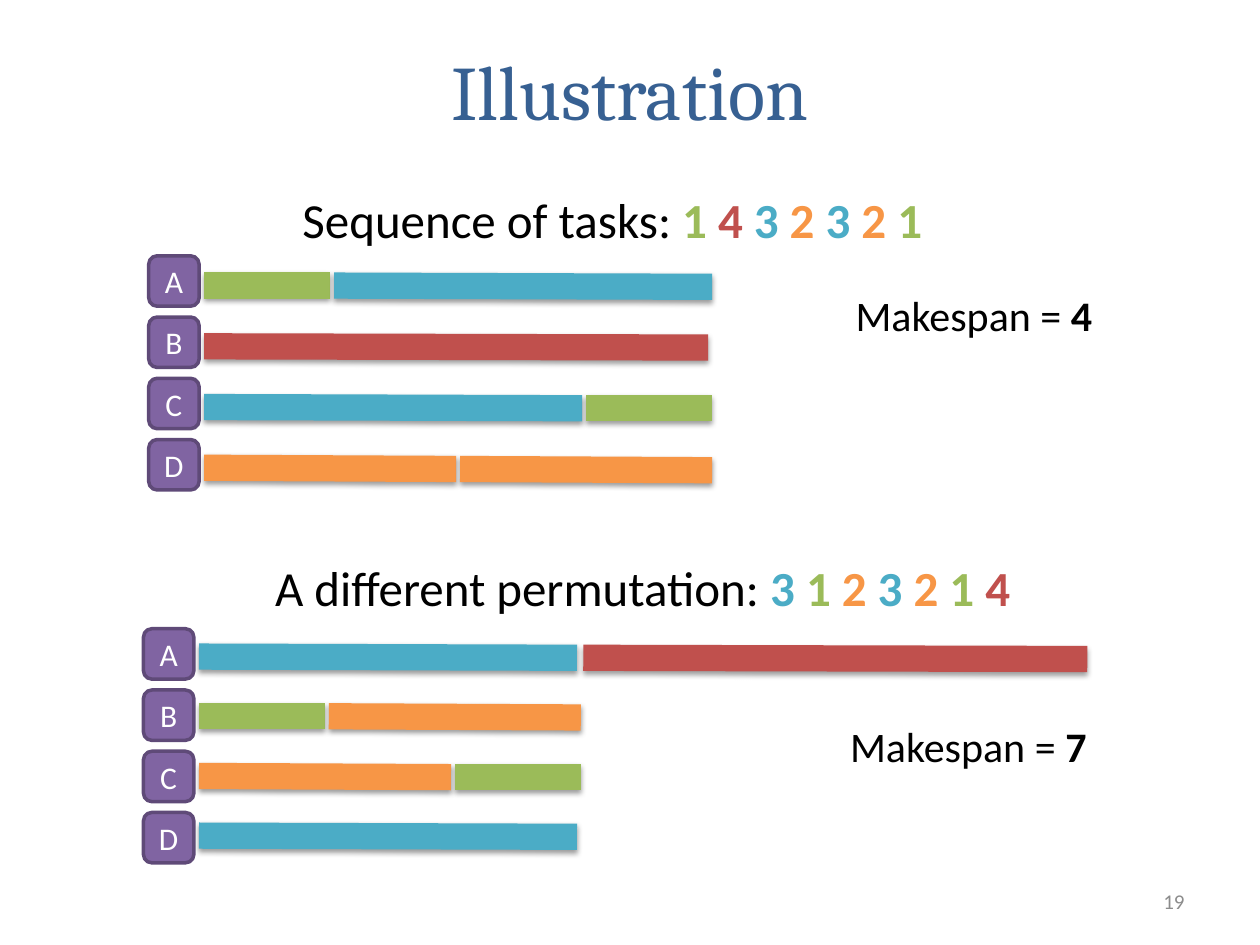
from dataclasses import dataclass

from lxml import etree
from pptx import Presentation
from pptx.dml.color import RGBColor
from pptx.enum import shapes, text
from pptx.oxml import ns
from pptx.util import Pt


@dataclass(frozen=True)
class Theme:
    heading_font: str = "Cambria"
    body_font: str = "Calibri"
    title_size: float = 44
    sequence_size: float = 28
    makespan_size: float = 24
    label_size: float = 18
    number_size: float = 12
    title: str = "376092"
    ink: str = "000000"
    muted: str = "8C8C8C"
    label_fill: str = "8064A2"
    label_line: str = "5F4A78"
    label_ink: str = "FFFFFF"
    tasks: tuple[str, ...] = ("9BBB59", "F79646", "4BACC6", "C0504D")

    def task(self, digit: str) -> str:
        return self.tasks[int(digit) - 1]


@dataclass(frozen=True)
class Box:
    left: float
    top: float
    width: float
    height: float


@dataclass(frozen=True)
class Run:
    text: str
    color: str
    bold: bool = False


@dataclass(frozen=True)
class Lane:
    machine: str
    tasks: str
    gap: float = 2.2


@dataclass(frozen=True)
class Schedule:
    caption: str
    sequence: str
    caption_box: Box
    caption_anchor: text.MSO_ANCHOR
    makespan: int
    makespan_box: Box
    left: float
    top: float
    bar_top: float
    bar_pitch: float
    lanes: tuple[Lane, ...]


THEME = Theme()
UNIT = 72  # length of one unit of task time
BAR_WEIGHT = 15
BAR_DROP = 0.7  # slight downward slope of the longer bars
LABEL_SIZE = 28.8
LABEL_PITCH = 35
LABEL_TO_BAR = 31.7

SCHEDULES = (
    Schedule("Sequence of tasks: ", "1432321",
             Box(48.2, 103, 603.4, 42.5), text.MSO_ANCHOR.BOTTOM,
             4, Box(443.5, 164.2, 226, 33.8),
             left=85, top=146.2, bar_top=163.2, bar_pitch=34.7,
             lanes=(Lane("A", "13"), Lane("B", "4"),
                    Lane("C", "31"), Lane("D", "22"))),
    Schedule("A different permutation: ", "3123214",
             Box(48.2, 313.9, 638, 42.5), text.MSO_ANCHOR.MIDDLE,
             7, Box(443.5, 410.4, 219.6, 33.8),
             left=82, top=359.3, bar_top=375.2, bar_pitch=34.1,
             lanes=(Lane("A", "34", gap=3.6), Lane("B", "12"),
                    Lane("C", "21"), Lane("D", "3"))),
)


def rgb(value: str) -> RGBColor:
    return RGBColor.from_string(value)


def write(sp, runs: list[Run], size: float, align=text.PP_ALIGN.CENTER,
          anchor=text.MSO_ANCHOR.MIDDLE, font: str = THEME.body_font) -> None:
    tf = sp.text_frame
    tf.word_wrap = True
    tf.vertical_anchor = anchor
    p = tf.paragraphs[0]
    p.alignment = align
    p.font.name = font
    p.font.size = Pt(size)
    for run in runs:
        r = p.add_run()
        r.text = run.text
        r.font.bold = run.bold
        r.font.color.rgb = rgb(run.color)


def add_text(s, box: Box, runs: list[Run], size: float, **style) -> None:
    sp = s.shapes.add_textbox(Pt(box.left), Pt(box.top),
                              Pt(box.width), Pt(box.height))
    write(sp, runs, size, **style)


def add_shadow(sp) -> None:
    effects = etree.SubElement(sp._element.spPr, ns.qn("a:effectLst"))
    shadow = etree.SubElement(
        effects, ns.qn("a:outerShdw"), blurRad=str(Pt(3.1)),
        dist=str(Pt(1.6)), dir="5400000", rotWithShape="0")
    color = etree.SubElement(shadow, ns.qn("a:srgbClr"), val=THEME.ink)
    etree.SubElement(color, ns.qn("a:alpha"), val="38000")


def add_label(s, left: float, top: float, machine: str) -> None:
    sp = s.shapes.add_shape(shapes.MSO_SHAPE.ROUNDED_RECTANGLE, Pt(left),
                            Pt(top), Pt(LABEL_SIZE), Pt(LABEL_SIZE))
    sp.shadow.inherit = False
    sp.fill.solid()
    sp.fill.fore_color.rgb = rgb(THEME.label_fill)
    sp.line.color.rgb = rgb(THEME.label_line)
    sp.line.width = Pt(2)
    tf = sp.text_frame
    tf.margin_left = tf.margin_right = tf.margin_top = tf.margin_bottom = 0
    write(sp, [Run(machine, THEME.label_ink)], THEME.label_size)


def add_lane(s, lane: Lane, left: float, top: float) -> None:
    """Draw the lane's tasks end to end, each as long as its number."""
    x, y = left, top
    for task in lane.tasks:
        end_x = x + int(task) * UNIT
        end_y = y + (BAR_DROP if int(task) > 1 else 0)
        sp = s.shapes.add_connector(shapes.MSO_CONNECTOR.STRAIGHT,
                                    Pt(x), Pt(y), Pt(end_x), Pt(end_y))
        sp.line.color.rgb = rgb(THEME.task(task))
        sp.line.width = Pt(BAR_WEIGHT)
        add_shadow(sp)
        x, y = end_x + lane.gap, end_y


def add_schedule(s, plan: Schedule) -> None:
    last = len(plan.sequence) - 1
    digits = [Run(d if i == last else d + " ", THEME.task(d), True)
              for i, d in enumerate(plan.sequence)]
    add_text(s, plan.caption_box, [Run(plan.caption, THEME.ink), *digits],
             THEME.sequence_size, anchor=plan.caption_anchor)
    add_text(s, plan.makespan_box,
             [Run("Makespan =", THEME.ink),
              Run(f" {plan.makespan}", THEME.ink, True)],
             THEME.makespan_size, anchor=text.MSO_ANCHOR.BOTTOM)
    for i, lane in enumerate(plan.lanes):
        add_label(s, plan.left, plan.top + i * LABEL_PITCH, lane.machine)
        add_lane(s, lane, plan.left + LABEL_TO_BAR,
                 plan.bar_top + i * plan.bar_pitch)


def main() -> None:
    prs = Presentation()
    prs.slide_width, prs.slide_height = Pt(720), Pt(540)
    s = prs.slides.add_slide(prs.slide_layouts[6])
    add_text(s, Box(43.2, 8.6, 633.6, 85.7),
             [Run("Illustration", THEME.title)], THEME.title_size,
             font=THEME.heading_font)
    for plan in SCHEDULES:
        add_schedule(s, plan)
    add_text(s, Box(516.2, 500.4, 167.8, 28.8), [Run("19", THEME.muted)],
             THEME.number_size, align=text.PP_ALIGN.RIGHT)
    prs.save("out.pptx")


if __name__ == "__main__":
    main()
